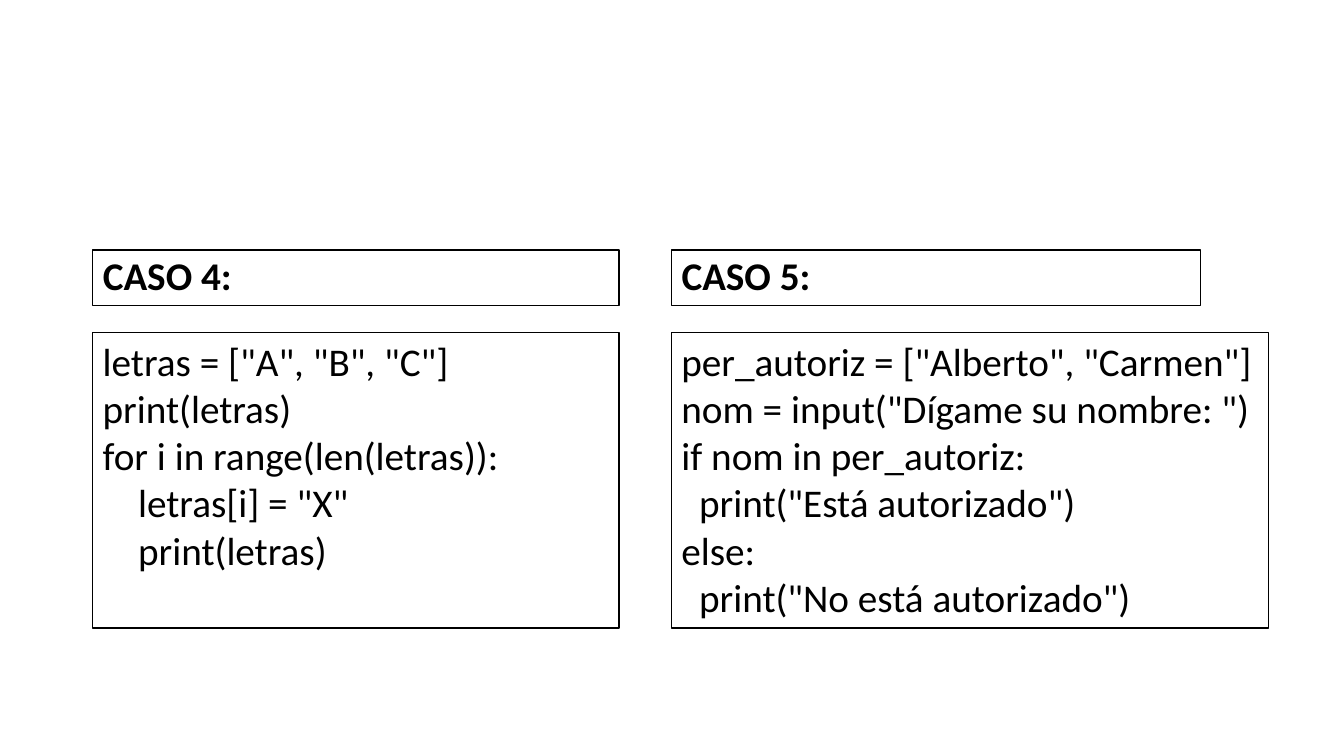
from pptx import Presentation
from pptx.dml.color import RGBColor
from pptx.enum.text import MSO_ANCHOR, MSO_AUTO_SIZE, PP_ALIGN
from pptx.util import Inches, Pt

COLORS = {"paper": "FFFFFF", "ink": "000000"}
FONT, SIZE = "Calibri", 28

CASES = [
    {
        "heading": "CASO 4:",
        "code": [
            'letras = ["A", "B", "C"]',
            "print(letras)",
            "for i in range(len(letras)):",
            '    letras[i] = "X"',
            "    print(letras)",
        ],
        "left": 0.92, "heading_width": 5.22, "code_width": 5.22, "wrap": True,
    },
    {
        "heading": "CASO 5:",
        "code": [
            'per_autoriz = ["Alberto", "Carmen"]',
            'nom = input("Dígame su nombre: ")',
            "if nom in per_autoriz:",
            '  print("Está autorizado")',
            "else:",
            '  print("No está autorizado")',
        ],
        "left": 6.66, "heading_width": 5.25, "code_width": 5.92, "wrap": False,
    },
]
HEADING_TOP, HEADING_HEIGHT = 2.48, 0.55
CODE_TOP, CODE_HEIGHT = 3.3, 2.93
COMPARISON_LAYOUT = 4
HEADING_IDS = (1, 3)


def color(name):
    return RGBColor.from_string(COLORS[name])


def fill_box(box, lines, anchor, wrap=True, bold=False, spacing=1.0):
    """Give a box its white fill, black outline and lines of text."""
    box.fill.solid()
    box.fill.fore_color.rgb = color("paper")
    box.line.color.rgb = color("ink")
    box.line.width = Pt(1)
    frame = box.text_frame
    frame.word_wrap = wrap
    frame.auto_size = MSO_AUTO_SIZE.NONE
    frame.vertical_anchor = anchor
    for number, line in enumerate(lines):
        paragraph = frame.add_paragraph() if number else frame.paragraphs[0]
        paragraph.alignment = PP_ALIGN.LEFT
        paragraph.line_spacing = spacing
        paragraph.space_before = Pt(0)
        run = paragraph.add_run()
        run.text = line
        run.font.name = FONT
        run.font.size = Pt(SIZE)
        run.font.bold = bold
        run.font.color.rgb = color("ink")


def main():
    deck = Presentation()
    deck.slide_width, deck.slide_height = Inches(13.33), Inches(7.5)
    slide = deck.slides.add_slide(deck.slide_layouts[COMPARISON_LAYOUT])

    for placeholder in list(slide.placeholders):
        if placeholder.placeholder_format.idx not in HEADING_IDS:
            placeholder.element.getparent().remove(placeholder.element)

    for case, heading in zip(CASES, list(slide.placeholders)):
        left = Inches(case["left"])
        heading.left, heading.top = left, Inches(HEADING_TOP)
        heading.width = Inches(case["heading_width"])
        heading.height = Inches(HEADING_HEIGHT)
        fill_box(heading, [case["heading"]], MSO_ANCHOR.MIDDLE, bold=True, spacing=0.9)

        code = slide.shapes.add_textbox(
            left, Inches(CODE_TOP), Inches(case["code_width"]), Inches(CODE_HEIGHT))
        fill_box(code, case["code"], MSO_ANCHOR.TOP, wrap=case["wrap"])

    deck.save("out.pptx")


if __name__ == "__main__":
    main()
